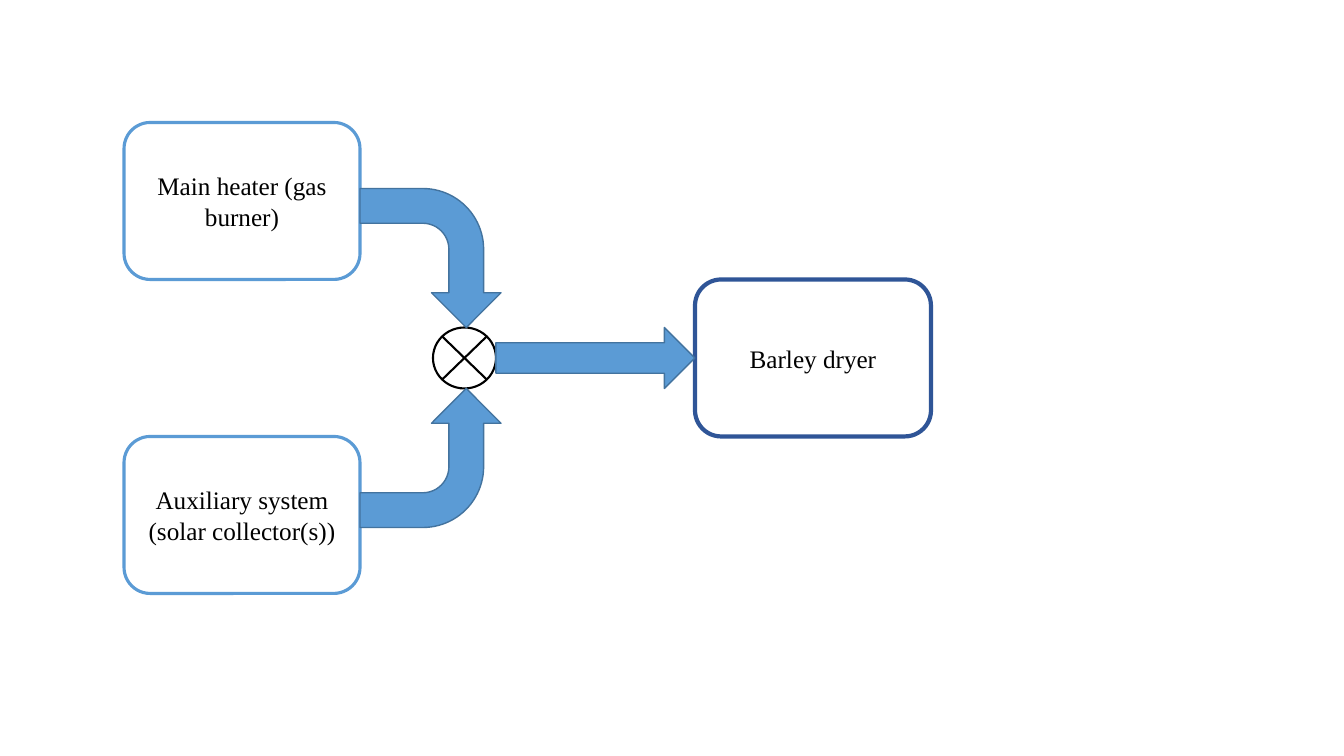
from pptx import Presentation
from pptx.dml.color import RGBColor
from pptx.enum.shapes import MSO_SHAPE
from pptx.enum.text import MSO_ANCHOR, PP_ALIGN
from pptx.util import Emu, Pt

ROUNDED = MSO_SHAPE.ROUNDED_RECTANGLE
JUNCTION = MSO_SHAPE.FLOWCHART_SUMMING_JUNCTION
BENT_ARROW = MSO_SHAPE.BENT_ARROW
RIGHT_ARROW = MSO_SHAPE.RIGHT_ARROW
MIDDLE = MSO_ANCHOR.MIDDLE
CENTER = PP_ALIGN.CENTER

WHITE = RGBColor(0xFF, 0xFF, 0xFF)
BLACK = RGBColor(0x00, 0x00, 0x00)
BLUE = RGBColor(0x5B, 0x9B, 0xD5)
NAVY = RGBColor(0x2F, 0x55, 0x97)
ARROW_EDGE = RGBColor(0x43, 0x73, 0x9E)

PIXEL = 914400 / 100.8
FONT = "Times New Roman"
FONT_SIZE = 18

# All lengths in pixels; the diagram is symmetric about FLOW_Y.
FLOW_Y = 358
BOX_W, BOX_H = 236, 157
SOURCE_X, DRYER_X = 124, 695
JUNCTION_X, JUNCTION_W, JUNCTION_H = 433, 63, 61
BEND_W, BEND_H = 141, 139

# text, left, vertical centre, line colour, line width
UNITS = [
    ("Main heater (gas burner)", SOURCE_X, FLOW_Y - BOX_H, BLUE, 2.25),
    ("Auxiliary system (solar collector(s))", SOURCE_X, FLOW_Y + BOX_H, BLUE, 2.25),
    ("Barley dryer", DRYER_X, FLOW_Y, NAVY, 3),
]
# side of the flow line (-1 above, 1 below), rotation, flipped
BENDS = [(1, 270, True), (-1, 90, False)]


def px(length):
    """Turn pixels into EMU."""
    return Emu(round(length * PIXEL))


def add_part(page, kind, left, middle, width, height, fill, edge, weight):
    """Add a filled, outlined shape centred vertically on middle."""
    part = page.shapes.add_shape(
        kind, px(left), px(middle - height / 2), px(width), px(height))
    part.shadow.inherit = False
    part.fill.solid()
    part.fill.fore_color.rgb = fill
    part.line.color.rgb = edge
    part.line.width = Pt(weight)
    return part


def add_unit(page, text, left, middle, edge, weight):
    """Add a rounded box with a centred label."""
    box = add_part(page, ROUNDED, left, middle, BOX_W, BOX_H, WHITE, edge, weight)
    frame = box.text_frame
    frame.word_wrap = True
    frame.vertical_anchor = MIDDLE
    para = frame.paragraphs[0]
    para.alignment = CENTER
    span = para.add_run()
    span.text = text
    span.font.name = FONT
    span.font.size = Pt(FONT_SIZE)
    span.font.color.rgb = BLACK


def add_bend(page, side, rotation, flipped):
    """Add a quarter-turned bent arrow from a source box to the junction."""
    middle = FLOW_Y + side * (JUNCTION_H + BEND_H) / 2
    left = SOURCE_X + BOX_W + (BEND_W - BEND_H) / 2
    bend = add_part(page, BENT_ARROW, left, middle, BEND_H, BEND_W,
                    BLUE, ARROW_EDGE, 1)
    bend.rotation = rotation
    if flipped:
        bend.element.spPr.xfrm.set("flipV", "1")


deck = Presentation()
deck.slide_width, deck.slide_height = px(1344), px(756)
page = deck.slides.add_slide(deck.slide_layouts[6])

for unit in UNITS:
    add_unit(page, *unit)
add_part(page, JUNCTION, JUNCTION_X, FLOW_Y, JUNCTION_W, JUNCTION_H,
         WHITE, BLACK, 1.5)
for bend_row in BENDS:
    add_bend(page, *bend_row)
arrow_x = JUNCTION_X + JUNCTION_W
add_part(page, RIGHT_ARROW, arrow_x, FLOW_Y, DRYER_X - arrow_x, JUNCTION_H,
         BLUE, ARROW_EDGE, 1)

deck.save("out.pptx")
